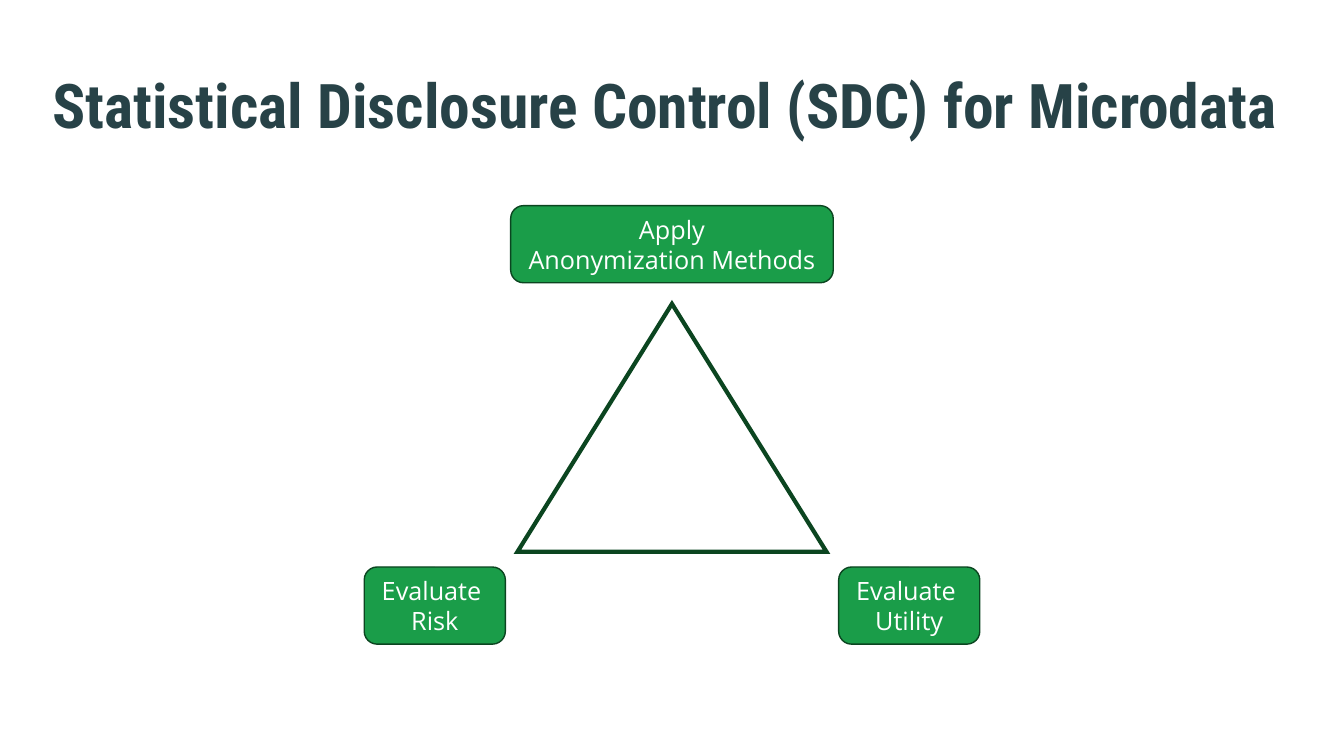
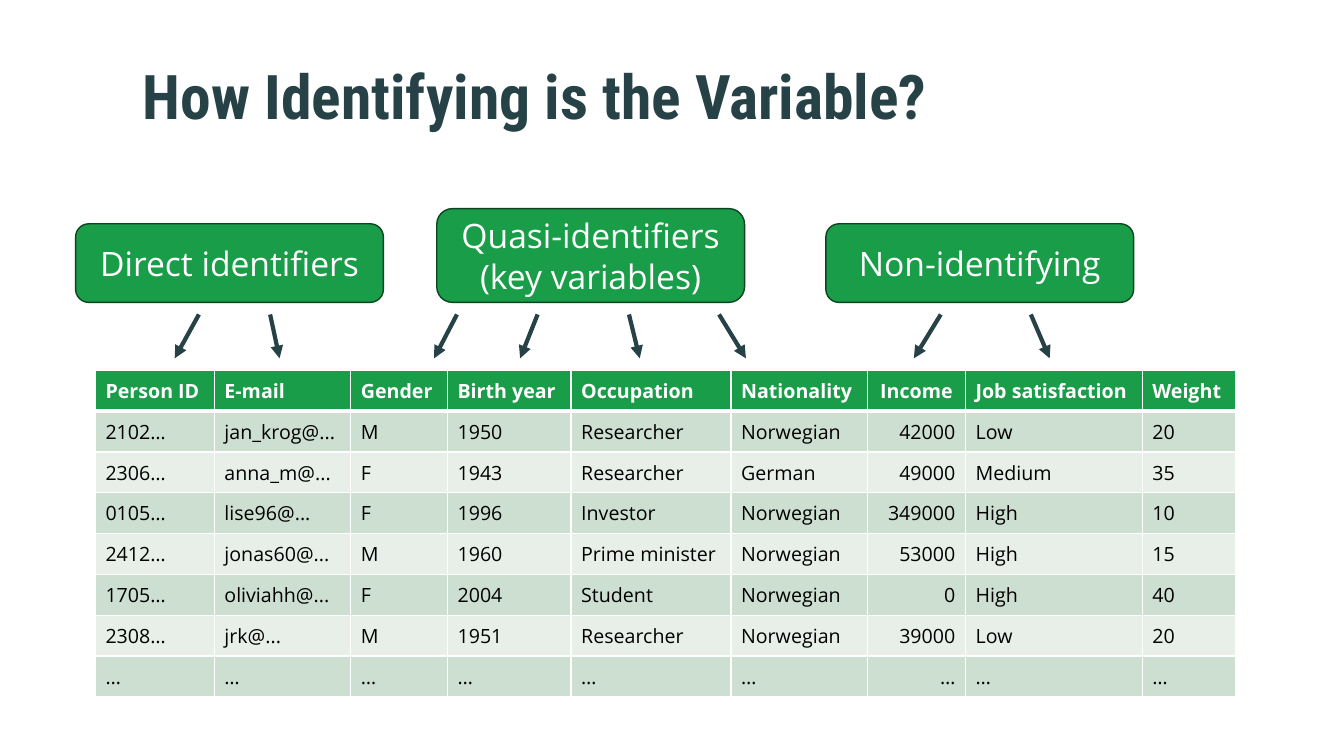
from dataclasses import dataclass
from itertools import cycle

from lxml import etree
from pptx import Presentation
from pptx import util as u
from pptx.dml.color import RGBColor
from pptx.enum import shapes, text
from pptx.oxml.ns import qn


@dataclass(frozen=True)
class Theme:
    green = RGBColor.from_string("1A9D49")
    dark_green = RGBColor.from_string("0B4520")
    slate = RGBColor.from_string("274247")
    white = RGBColor.from_string("FFFFFF")
    black = RGBColor.from_string("000000")
    bands = (RGBColor.from_string("CDDFD0"), RGBColor.from_string("E8EFE9"))
    title_font = "Roboto Condensed"
    body_font = "Open Sans"
    title_size = u.Pt(44)
    large_size = u.Pt(24)
    box_size = u.Pt(18)
    table_size = u.Pt(14)
    thin = u.Pt(1)
    thick = u.Pt(3)


theme = Theme()
presentation = Presentation()
presentation.slide_width = u.Inches(13.33)
presentation.slide_height = u.Inches(7.5)

# The grid has 100 columns and 100 rows
column = presentation.slide_width / 100
row = presentation.slide_height / 100


def place(*shares):
    """Turn alternating columns and rows into lengths."""
    return [u.Emu(int(share * unit)) for share, unit in zip(shares, cycle((column, row)))]


def add_box(slide, label, size, *area):
    """Add a green rounded box with centred white lines."""
    shape = slide.shapes.add_shape(shapes.MSO_SHAPE.ROUNDED_RECTANGLE, *place(*area))
    shape.shadow.inherit = False
    shape.fill.solid()
    shape.fill.fore_color.rgb = theme.green
    shape.line.color.rgb = theme.dark_green
    shape.line.width = theme.thin
    shape.text_frame.text = label
    shape.text_frame.vertical_anchor = text.MSO_ANCHOR.MIDDLE
    for paragraph in shape.text_frame.paragraphs:
        paragraph.alignment = text.PP_ALIGN.CENTER
        paragraph.font.name = theme.body_font
        paragraph.font.size = size
        paragraph.font.color.rgb = theme.white


# Slides and titles
titles = [
    ("Statistical Disclosure Control (SDC) for Microdata", (3.15, 8, 93.8, 13.5)),
    ("How Identifying is the Variable?", (9.9, 4, 79.2, 19)),
]
for title, area in titles:
    slide = presentation.slides.add_slide(presentation.slide_layouts[6])
    frame = slide.shapes.add_textbox(*place(*area)).text_frame
    frame.word_wrap = True
    frame.margin_top = 0
    frame.vertical_anchor = text.MSO_ANCHOR.MIDDLE
    frame.text = title
    paragraph = frame.paragraphs[0]
    paragraph.line_spacing = 0.9
    paragraph.font.name = theme.title_font
    paragraph.font.size = theme.title_size
    paragraph.font.bold = True
    paragraph.font.color.rgb = theme.slate
cycle_slide, variable_slide = presentation.slides

# Triangle with a step at each corner
steps = [
    ("Apply\nAnonymization Methods", 50, 27.2, 24),
    ("Evaluate \nRisk", 32.35, 75, 10.5),
    ("Evaluate \nUtility", 67.65, 75, 10.5),
]
for label, centre, top, width in steps:
    add_box(cycle_slide, label, theme.box_size, centre - width / 2, top, width, 10.2)

triangle = cycle_slide.shapes.add_shape(
    shapes.MSO_SHAPE.ISOSCELES_TRIANGLE, *place(38.5, 40.2, 23, 32.8))
triangle.shadow.inherit = False
triangle.fill.background()
triangle.line.color.rgb = theme.dark_green
triangle.line.width = theme.thick
outline = triangle._element.spPr.find(qn("a:ln"))
etree.SubElement(outline, qn("a:miter"), lim="800000")

# Variable groups with arrows from each group to its table columns
groups = [
    ("Direct identifiers", 5.63, 10.4, [(14.8, 13), (20.1, 20.8)]),
    ("Quasi-identifiers\n(key variables)", 32.5, 12.4,
     [(34, 32.3), (40, 38.7), (46.8, 47.6), (53.5, 55.5)]),
    ("Non-identifying", 61.45, 10.4, [(70, 68), (76.7, 78.1)]),
]
for label, left, height, arrows in groups:
    add_box(variable_slide, label, theme.large_size, left, 40 - height, 22.9, height)
    for start, end in arrows:
        arrow = variable_slide.shapes.add_connector(
            shapes.MSO_CONNECTOR.STRAIGHT, *place(start, 41.6, end, 47.4))
        arrow.line.color.rgb = theme.slate
        arrow.line.width = theme.thick
        properties = arrow._element.spPr
        etree.SubElement(properties.find(qn("a:ln")), qn("a:tailEnd"), type="triangle")
        etree.SubElement(properties, qn("a:effectLst"))

# Table of example microdata
records = [
    ("Person ID", "E-mail", "Gender", "Birth year", "Occupation", "Nationality",
     "Income", "Job satisfaction", "Weight"),
    ("2102…", "jan_krog@...", "M", "1950", "Researcher", "Norwegian", "42000", "Low", "20"),
    ("2306…", "anna_m@...", "F", "1943", "Researcher", "German", "49000", "Medium", "35"),
    ("0105…", "lise96@...", "F", "1996", "Investor", "Norwegian", "349000", "High", "10"),
    ("2412…", "jonas60@...", "M", "1960", "Prime minister", "Norwegian", "53000", "High", "15"),
    ("1705…", "oliviahh@...", "F", "2004", "Student", "Norwegian", "0", "High", "40"),
    ("2308…", "jrk@...", "M", "1951", "Researcher", "Norwegian", "39000", "Low", "20"),
    ("…",) * 9,
]
widths = [8.85, 10.15, 7.2, 9.2, 11.9, 10.15, 7.3, 13.15, 6.95]
row_height = 5.4
income = records[0].index("Income")
table = variable_slide.shapes.add_table(
    len(records), len(widths),
    *place(7.1, 49, sum(widths), row_height * len(records))).table
for table_column, width in zip(table.columns, widths):
    table_column.width = u.Emu(int(width * column))

for row_index, record in enumerate(records):
    header = row_index == 0
    for column_index, value in enumerate(record):
        cell = table.cell(row_index, column_index)
        borders = {"a:lnL": theme.thin, "a:lnR": theme.thin,
                   "a:lnT": theme.thick if row_index == 1 else theme.thin,
                   "a:lnB": theme.thick if header else theme.thin}
        for tag, width in borders.items():
            border = etree.SubElement(cell._tc.get_or_add_tcPr(), qn(tag), w=str(width))
            fill = etree.SubElement(border, qn("a:solidFill"))
            etree.SubElement(fill, qn("a:srgbClr"), val=str(theme.white))
        cell.fill.solid()
        cell.fill.fore_color.rgb = theme.green if header else theme.bands[(row_index - 1) % 2]
        cell.vertical_anchor = text.MSO_ANCHOR.MIDDLE
        cell.text_frame.text = value
        paragraph = cell.text_frame.paragraphs[0]
        if column_index == income:
            paragraph.alignment = text.PP_ALIGN.CENTER if header else text.PP_ALIGN.RIGHT
        paragraph.font.name = theme.body_font
        paragraph.font.size = theme.table_size
        paragraph.font.bold = header
        paragraph.font.color.rgb = theme.white if header else theme.black

presentation.save("out.pptx")
